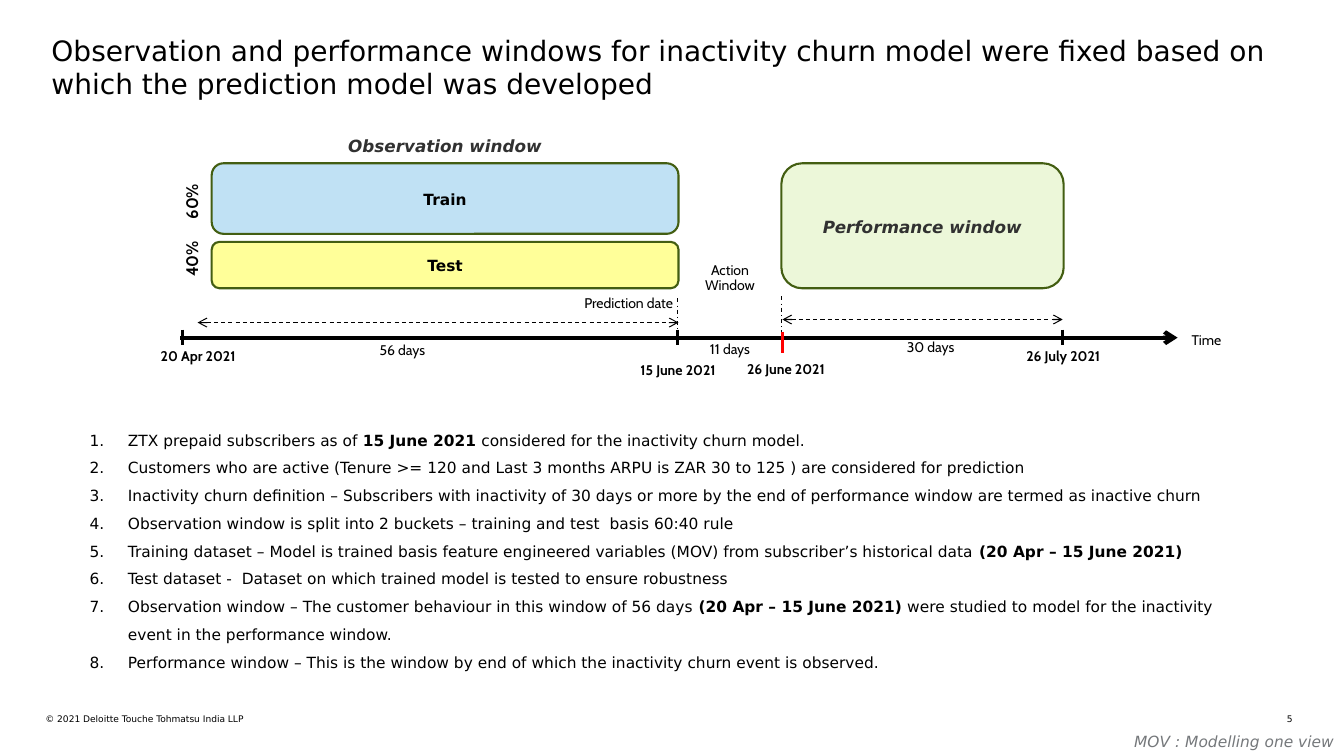
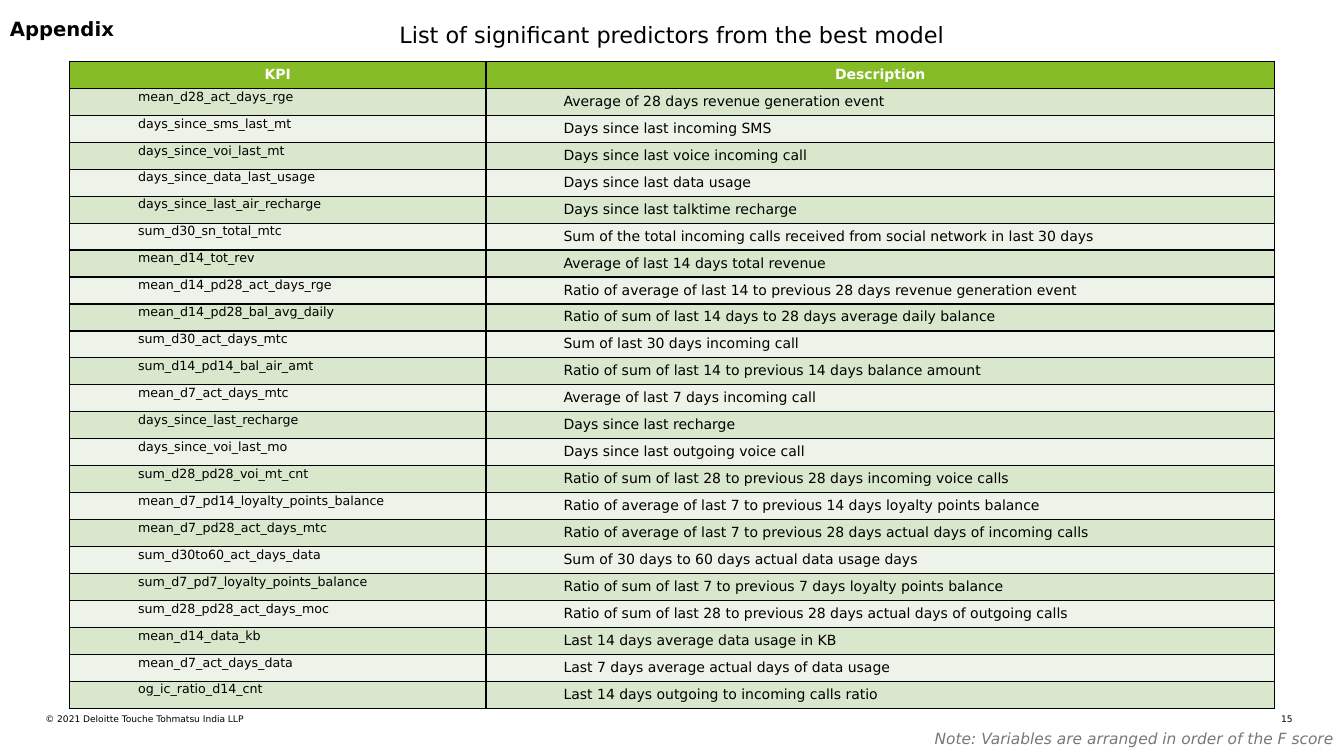
"""Build two slides on the churn model: its time windows and its predictors."""
from dataclasses import dataclass

from lxml.etree import SubElement
from pptx import Presentation
from pptx.dml.color import RGBColor
from pptx.enum.dml import MSO_LINE
from pptx.enum.shapes import MSO_CONNECTOR, MSO_SHAPE
from pptx.enum.text import MSO_ANCHOR, PP_ALIGN
from pptx.oxml.ns import qn
from pptx.shapes.autoshape import Shape
from pptx.slide import Slide
from pptx.table import _Cell
from pptx.text.text import TextFrame
from pptx.util import Inches, Pt

SANS, CABIN = "DejaVu Sans", "Cabin"
BLACK, WHITE, GREY, DARK = "000000", "FFFFFF", "75787B", "313131"
RED, GREEN, EDGE = "FF0000", "86BC25", "435E12"
BANDS = ("D9E7CD", "EDF3E8")
LEFT, MID, RIGHT = PP_ALIGN.LEFT, PP_ALIGN.CENTER, PP_ALIGN.RIGHT
SLIM = (0, 0, 0, 0)
PAD = (0.1, 0.05, 0.1, 0.05)
AXIS = 3.35


@dataclass
class Box:
    left: float
    top: float
    width: float
    height: float


@dataclass
class Label:
    text: str
    box: Box
    bold: bool = False
    align: PP_ALIGN = MID


@dataclass
class Block:
    text: str
    box: Box
    fill: str
    size: float = 11
    color: str = BLACK
    slant: bool = False


@dataclass
class Stroke:
    start: tuple[float, float]
    end: tuple[float, float]
    width: float = 0.75
    color: str = BLACK
    dash: MSO_LINE | None = None
    head: bool = False
    tail: bool = False


LABELS = [
    Label("Time", Box(11.72, 3.26, 0.71, 0.2), align=LEFT),
    Label("20 Apr 2021", Box(1.28, 3.42, 1.37, 0.25), True),
    Label("15 June 2021", Box(5.81, 3.56, 1.83, 0.25), True),
    Label("26 June 2021", Box(6.88, 3.55, 1.83, 0.25), True),
    Label("26 July 2021", Box(9.63, 3.42, 1.83, 0.25), True),
    Label("56 days", Box(3.57, 3.36, 0.84, 0.25)),
    Label("11 days", Box(6.82, 3.35, 0.84, 0.25)),
    Label("30 days", Box(7.63, 3.33, 3.2, 0.2)),
    Label("Action Window", Box(6.73, 2.56, 1.02, 0.4)),
    Label("Prediction date", Box(5.32, 2.89, 1.83, 0.25)),
]

BLOCKS = [
    Block("**Train**", Box(2.1, 1.62, 4.63, 0.7), "62B5E5"),
    Block("**Test**", Box(2.1, 2.4, 4.63, 0.46), "FFFF00"),
    Block("**Performance window**", Box(7.75, 1.62, 2.8, 1.24), "D1ECA0", 12, DARK, True),
]

STROKES = [
    Stroke((1.79, AXIS), (11.68, AXIS), 3, tail=True),
    *(Stroke((x, 3.27), (x, 3.42), 2.25) for x in (1.81, 6.72, 10.54)),
    Stroke((7.75, 2.94), (7.75, 3.37), dash=MSO_LINE.DASH_DOT),
    Stroke((6.72, 2.96), (6.72, 3.39), dash=MSO_LINE.DASH_DOT),
    Stroke((7.76, 3.29), (7.76, 3.5), 2.25, RED),
    Stroke((1.96, 3.2), (6.73, 3.2), dash=MSO_LINE.DASH, head=True, tail=True),
    Stroke((7.76, 3.17), (10.54, 3.17), dash=MSO_LINE.DASH, head=True, tail=True),
]

NOTES = [
    "ZTX prepaid subscribers as of **15 June 2021** considered for the inactivity churn model.",
    "Customers who are active (Tenure >= 120 and Last 3 months ARPU is ZAR 30 to 125 ) are considered for prediction",
    "Inactivity churn definition – Subscribers with inactivity of 30 days or more "
    "by the end of performance window are termed as inactive churn",
    "Observation window is split into 2 buckets – training and test  basis 60:40 rule",
    "Training dataset – Model is trained basis feature engineered variables (MOV) "
    "from subscriber’s historical data **(20 Apr – 15 June 2021)**",
    "Test dataset -  Dataset on which trained model is tested to ensure robustness",
    "Observation window – The customer behaviour in this window of 56 days **(20 Apr – 15 June 2021)** "
    "were studied to model for the inactivity event in the performance window.",
    "Performance window – This is the window by end of which the inactivity churn event is observed.",
]

KPIS = [
    ("mean_d28_act_days_rge", "Average of 28 days revenue generation event"),
    ("days_since_sms_last_mt", "Days since last incoming SMS"),
    ("days_since_voi_last_mt", "Days since last voice incoming call"),
    ("days_since_data_last_usage", "Days since last data usage"),
    ("days_since_last_air_recharge", "Days since last talktime recharge"),
    ("sum_d30_sn_total_mtc", "Sum of the total incoming calls received from social network in last 30 days"),
    ("mean_d14_tot_rev", "Average of last 14 days total revenue"),
    ("mean_d14_pd28_act_days_rge", "Ratio of average of last 14 to previous 28 days revenue generation event"),
    ("mean_d14_pd28_bal_avg_daily", "Ratio of sum of last 14 days to 28 days average daily balance"),
    ("sum_d30_act_days_mtc", "Sum of last 30 days incoming call"),
    ("sum_d14_pd14_bal_air_amt", "Ratio of sum of last 14 to previous 14 days balance amount"),
    ("mean_d7_act_days_mtc", "Average of last 7 days incoming call"),
    ("days_since_last_recharge", "Days since last recharge"),
    ("days_since_voi_last_mo", "Days since last outgoing voice call"),
    ("sum_d28_pd28_voi_mt_cnt", "Ratio of sum of last 28 to previous 28 days incoming voice calls"),
    ("mean_d7_pd14_loyalty_points_balance", "Ratio of average of last 7 to previous 14 days loyalty points balance"),
    ("mean_d7_pd28_act_days_mtc", "Ratio of average of last 7 to previous 28 days actual days of incoming calls"),
    ("sum_d30to60_act_days_data", "Sum of 30 days to 60 days actual data usage days"),
    ("sum_d7_pd7_loyalty_points_balance", "Ratio of sum of last 7 to previous 7 days loyalty points balance"),
    ("sum_d28_pd28_act_days_moc", "Ratio of sum of last 28 to previous 28 days actual days of outgoing calls"),
    ("mean_d14_data_kb", "Last 14 days average data usage in KB"),
    ("mean_d7_act_days_data", "Last 7 days average actual days of data usage"),
    ("og_ic_ratio_d14_cnt", "Last 14 days outgoing to incoming calls ratio"),
]


def tint(code: str) -> RGBColor:
    return RGBColor.from_string(code)


def spots(box: Box) -> tuple[Inches, ...]:
    return tuple(Inches(n) for n in (box.left, box.top, box.width, box.height))


def write(frame: TextFrame, text: str, *, size: float, color: str = BLACK, font: str = SANS,
          align: PP_ALIGN = LEFT, slant: bool = False, space: float | None = None,
          indent: float = 0, number: bool = False) -> None:
    for row, line in enumerate(text.split("\n")):
        para = frame.paragraphs[0] if row == 0 else frame.add_paragraph()
        props = para._p.get_or_add_pPr()
        if indent:
            props.set("marL", str(Inches(indent)))
            props.set("indent", str(-Inches(indent) if number else 0))
        if number:
            SubElement(props, qn("a:buFont"), typeface="+mj-lt")
            SubElement(props, qn("a:buAutoNum"), type="arabicPeriod")
        para.alignment = align
        if space:
            para.line_spacing = space
        for turn, part in enumerate(line.split("**")):
            if part:
                run = para.add_run()
                run.text = part
                run.font.name, run.font.size = font, Pt(size)
                run.font.bold, run.font.italic = turn % 2 == 1, slant
                run.font.color.rgb = tint(color)


def inset(frame: TextFrame, pad: tuple[float, ...], anchor: MSO_ANCHOR) -> None:
    frame.word_wrap = True
    frame.vertical_anchor = anchor
    (frame.margin_left, frame.margin_top,
     frame.margin_right, frame.margin_bottom) = (Inches(n) for n in pad)


def place(slide: Slide, text: str, box: Box, pad: tuple[float, ...] = PAD,
          anchor: MSO_ANCHOR = MSO_ANCHOR.TOP, **look) -> Shape:
    shape = slide.shapes.add_textbox(*spots(box))
    inset(shape.text_frame, pad, anchor)
    write(shape.text_frame, text, **look)
    return shape


def panel(slide: Slide, kind: MSO_SHAPE, box: Box, fill: str, edge: str, width: float,
          pad: tuple[float, ...] = PAD, alpha: int = 100) -> TextFrame:
    shape = slide.shapes.add_shape(kind, *spots(box))
    shape.shadow.inherit = False
    shape.fill.solid()
    shape.fill.fore_color.rgb = tint(fill)
    if alpha < 100:
        shade = shape._element.spPr.find(f"{qn('a:solidFill')}/{qn('a:srgbClr')}")
        SubElement(shade, qn("a:alpha"), val=str(alpha * 1000))
    shape.line.color.rgb = tint(edge)
    shape.line.width = Pt(width)
    inset(shape.text_frame, pad, MSO_ANCHOR.MIDDLE)
    return shape.text_frame


def draw(slide: Slide, stroke: Stroke) -> None:
    ends = (Inches(n) for n in (*stroke.start, *stroke.end))
    link = slide.shapes.add_connector(MSO_CONNECTOR.STRAIGHT, *ends)
    link.line.color.rgb = tint(stroke.color)
    link.line.width = Pt(stroke.width)
    if stroke.dash:
        link.line.dash_style = stroke.dash
    for tag, shown in (("a:headEnd", stroke.head), ("a:tailEnd", stroke.tail)):
        if shown:
            SubElement(link.line._get_or_add_ln(), qn(tag), type="arrow")
    SubElement(link._element.spPr, qn("a:effectLst"))


def begin(deck: Presentation, title: str, box: Box, size: float, align: PP_ALIGN,
          page: int, note: str, base: float) -> Slide:
    slide = deck.slides.add_slide(deck.slide_layouts[6])
    place(slide, title, box, SLIM, size=size, align=align)
    place(slide, "© 2021 Deloitte Touche Tohmatsu India LLP", Box(0.45, 7.08, 4.76, 0.11), SLIM, size=6.5)
    place(slide, str(page), Box(12.48, 7.08, 0.34, 0.11), SLIM, size=6.5, align=RIGHT)
    place(slide, note, Box(2.88, base, 10.45, 0.29), size=11, color=GREY, align=RIGHT, slant=True)
    return slide


def frame_cell(cell: _Cell, fill: str) -> None:
    props = cell._tc.get_or_add_tcPr()
    for side in ("L", "R", "T", "B"):
        edge = SubElement(props, qn(f"a:ln{side}"), w=str(Pt(1)))
        SubElement(SubElement(edge, qn("a:solidFill")), qn("a:srgbClr"), val=BLACK)
    cell.fill.solid()
    cell.fill.fore_color.rgb = tint(fill)


def show_windows(deck: Presentation) -> None:
    title = ("Observation and performance windows for inactivity churn model were fixed "
             "based on which the prediction model was developed")
    slide = begin(deck, title, Box(0.51, 0.33, 12.31, 0.76), 20, LEFT, 5,
                  "MOV : Modelling one view", 7.21)
    frame = panel(slide, MSO_SHAPE.RECTANGLE, Box(0.79, 4.13, 11.62, 2.58), WHITE, WHITE, 2)
    write(frame, "\n".join(NOTES), size=11, space=1.5, indent=0.38, number=True)
    for stroke in STROKES:
        draw(slide, stroke)
    for block in BLOCKS:
        frame = panel(slide, MSO_SHAPE.ROUNDED_RECTANGLE, block.box, block.fill, EDGE, 1.5,
                      (0.1,) * 4, 40)
        write(frame, block.text, size=block.size, color=block.color, align=MID,
              slant=block.slant, space=1.06)
    for label in LABELS:
        text = f"**{label.text}**" if label.bold else label.text
        place(slide, text, label.box, size=10, font=CABIN, align=label.align, space=0.9)
    for share, top in (("60%", 1.83), ("40%", 2.4)):
        side = place(slide, f"**{share}**", Box(1.55, top, 0.7, 0.34), anchor=MSO_ANCHOR.MIDDLE,
                     size=12, font=CABIN, align=MID)
        side.rotation = 270
    place(slide, "**Observation window**", Box(2.1, 1.35, 4.63, 0.2), SLIM,
          size=12, color=DARK, align=MID, slant=True)


def show_kpis(deck: Presentation) -> None:
    slide = begin(deck, "List of significant predictors from the best model",
                  Box(0, 0.21, 13.33, 0.38), 16, MID, 15,
                  "Note: Variables are arranged in order of the F score", 7.18)
    place(slide, "**Appendix**", Box(0, 0.14, 2.5, 0.29), anchor=MSO_ANCHOR.MIDDLE, size=14)
    count = len(KPIS) + 1
    grid = slide.shapes.add_table(count, 2, *spots(Box(0.69, 0.61, 11.95, 0.26 * count))).table
    grid.first_row = grid.horz_banding = False
    for column, width in zip(grid.columns, (4.13, 7.82)):
        column.width = Inches(width)
    for col, head in enumerate(("KPI", "Description")):
        frame_cell(grid.cell(0, col), GREEN)
        write(grid.cell(0, col).text_frame, f"**{head}**", size=10, color=WHITE, align=MID)
    for row, pair in enumerate(KPIS, 1):
        for col, text in enumerate(pair):
            cell = grid.cell(row, col)
            frame_cell(cell, BANDS[(row - 1) % 2])
            if col == 0:
                cell.margin_left = cell.margin_top = cell.margin_right = Inches(0.01)
                cell.margin_bottom = 0
            write(cell.text_frame, text, size=9 + col, indent=0.67)


def main() -> None:
    deck = Presentation()
    deck.slide_width, deck.slide_height = Inches(13.33), Inches(7.5)
    show_windows(deck)
    show_kpis(deck)
    deck.save("out.pptx")


if __name__ == "__main__":
    main()
